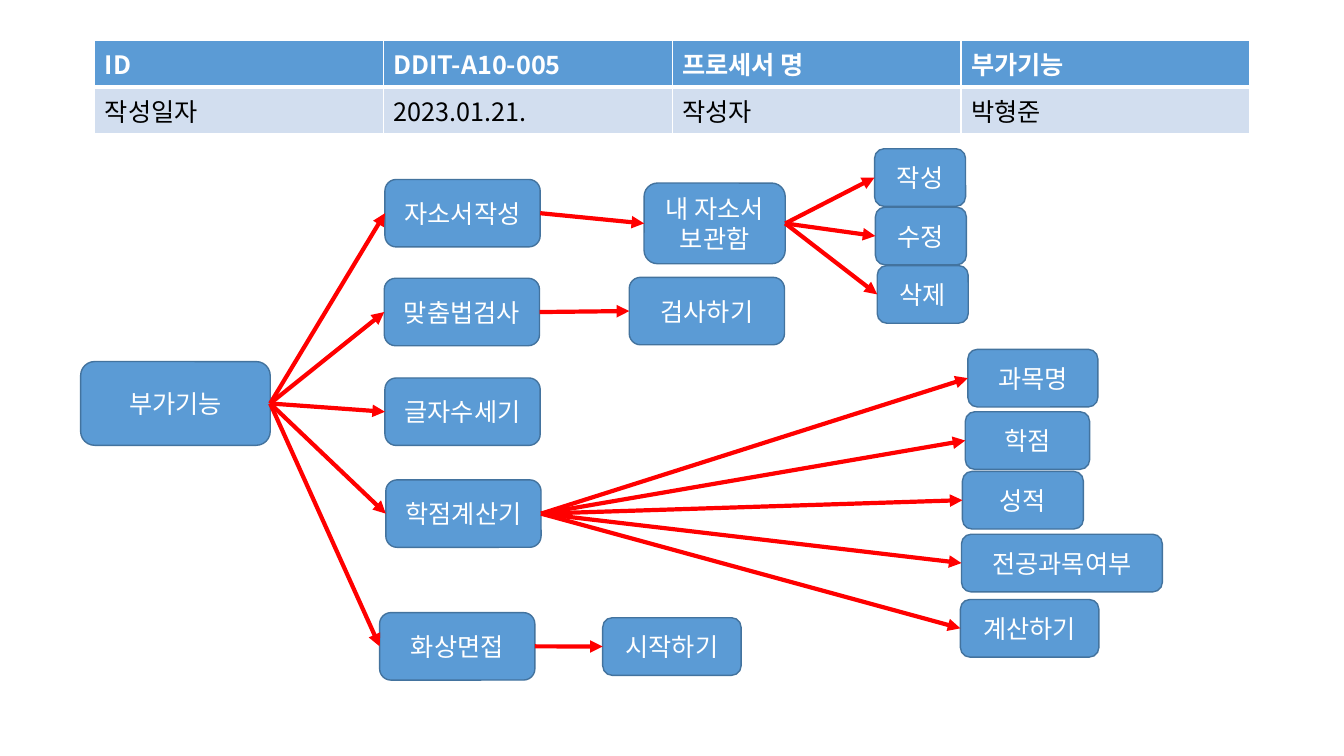
from lxml import etree
from pptx import Presentation, util as u
from pptx.dml.color import RGBColor
from pptx.enum import shapes, text
from pptx.oxml import ns

Pt = u.Pt

THEME = {
    "font": "Noto Sans CJK KR", "size": 18,
    "blue": "5B9BD5", "pale": "D2DEEF", "outline": "43739E",
    "arrow": "FF0000", "white": "FFFFFF", "black": "000000",
    "thin": 1, "thick": 3,
}

HEADER_ROWS = [
    ("ID", "DDIT-A10-005", "프로세서 명", "부가기능"),
    ("작성일자", "2023.01.21.", "작성자", "박형준"),
]
HEADER_PLACE = (67.7, 29, 825)
ROW_HEIGHTS = (31, 29.5)

FEATURE = (110.9, 48.2)
LEAF_HEIGHT = 41.2
ACTION = (98.9, LEAF_HEIGHT)
EDIT = (65, LEAF_HEIGHT)

# Each node: label, (left, top), (width, height), children
PROCESS = ("부가기능", (57.6, 258.3), (135.4, 59.8), [
    ("자소서작성", (275, 128.2), FEATURE, [
        ("내 자소서 보관함", (460.1, 130.8), (100.8, 57.6), [
            ("작성", (624.7, 106.2), EDIT, []),
            ("수정", (625.3, 148), EDIT, []),
            ("삭제", (626.6, 189.7), EDIT, []),
        ]),
    ]),
    ("맞춤법검사", (274.5, 198.8), FEATURE, [
        ("검사하기", (449.5, 198.1), FEATURE, []),
    ]),
    ("글자수세기", (275, 270), FEATURE, []),
    ("학점계산기", (275.6, 342.8), FEATURE, [
        ("과목명", (691.3, 249.5), (92.9, LEAF_HEIGHT), []),
        ("학점", (689.5, 294.1), (88.8, LEAF_HEIGHT), []),
        ("성적", (687.5, 336.7), (86.4, LEAF_HEIGHT), []),
        ("전공과목여부", (686.8, 381.6), (143.5, LEAF_HEIGHT), []),
        ("계산하기", (686, 428.2), ACTION, []),
    ]),
    ("화상면접", (271.2, 437.6), FEATURE, [
        ("시작하기", (430.5, 441.2), ACTION, []),
    ]),
])

LEFT_SITE, RIGHT_SITE = 1, 3


def colour(key):
    """Return a theme colour."""
    return RGBColor.from_string(THEME[key])


def add_xml(parent, tag, **attributes):
    """Append a DrawingML element."""
    return etree.SubElement(parent, ns.qn(f"a:{tag}"), attributes)


def write(frame, label, ink, bold=False):
    """Put a label into a text frame and style its run."""
    frame.text = label
    font = frame.paragraphs[0].runs[0].font
    font.size, font.bold, font.name = Pt(THEME["size"]), bold, THEME["font"]
    font.color.rgb = colour(ink)
    add_xml(font._element, "ea", typeface=THEME["font"])


def border(cell, bottom):
    """Give a cell white borders with its own bottom width."""
    for side, width in zip("LRTB", (THEME["thin"],) * 3 + (bottom,)):
        line = add_xml(cell._tc.get_or_add_tcPr(), f"ln{side}", w=str(Pt(width)))
        add_xml(add_xml(line, "solidFill"), "srgbClr", val=THEME["white"])


def add_header(slide):
    """Draw the document information table."""
    left, top, width = map(Pt, HEADER_PLACE)
    header = slide.shapes.add_table(
        len(HEADER_ROWS), len(HEADER_ROWS[0]), left, top, width, Pt(sum(ROW_HEIGHTS))).table
    styles = [("blue", "white", True, "thick"), ("pale", "black", False, "thin")]
    for row, labels, height, style in zip(header.rows, HEADER_ROWS, ROW_HEIGHTS, styles):
        row.height = Pt(height)
        fill, ink, bold, bottom = style
        for cell, label in zip(row.cells, labels):
            border(cell, THEME[bottom])
            cell.fill.solid()
            cell.fill.fore_color.rgb = colour(fill)
            write(cell.text_frame, label, ink, bold)


def add_step(slide, label, place, size):
    """Draw one rounded process step."""
    step = slide.shapes.add_shape(
        shapes.MSO_SHAPE.ROUNDED_RECTANGLE, *map(Pt, place + size))
    step.shadow.inherit = False
    step.fill.solid()
    step.fill.fore_color.rgb = colour("blue")
    step.line.color.rgb = colour("outline")
    step.line.width = Pt(THEME["thin"])
    frame = step.text_frame
    frame.word_wrap = True
    frame.vertical_anchor = text.MSO_ANCHOR.MIDDLE
    write(frame, label, "white")
    frame.paragraphs[0].alignment = text.PP_ALIGN.CENTER
    return step


def add_arrow(slide, parent, child):
    """Join the right side of a step to the left side of the next."""
    arrow = slide.shapes.add_connector(shapes.MSO_CONNECTOR.STRAIGHT, 0, 0, 0, 0)
    arrow.begin_connect(parent, RIGHT_SITE)
    arrow.end_connect(child, LEFT_SITE)
    arrow.line.color.rgb = colour("arrow")
    arrow.line.width = Pt(THEME["thick"])
    add_xml(arrow.line._get_or_add_ln(), "tailEnd", type="triangle")
    add_xml(arrow._element.spPr, "effectLst")


def add_branch(slide, node):
    """Draw a step, its children and the arrows between them."""
    label, place, size, children = node
    step = add_step(slide, label, place, size)
    for child in children:
        add_arrow(slide, step, add_branch(slide, child))
    return step


deck = Presentation()
deck.slide_width, deck.slide_height = Pt(960), Pt(540)
process_slide = deck.slides.add_slide(deck.slide_layouts[6])
add_header(process_slide)
add_branch(process_slide, PROCESS)
deck.save("out.pptx")
